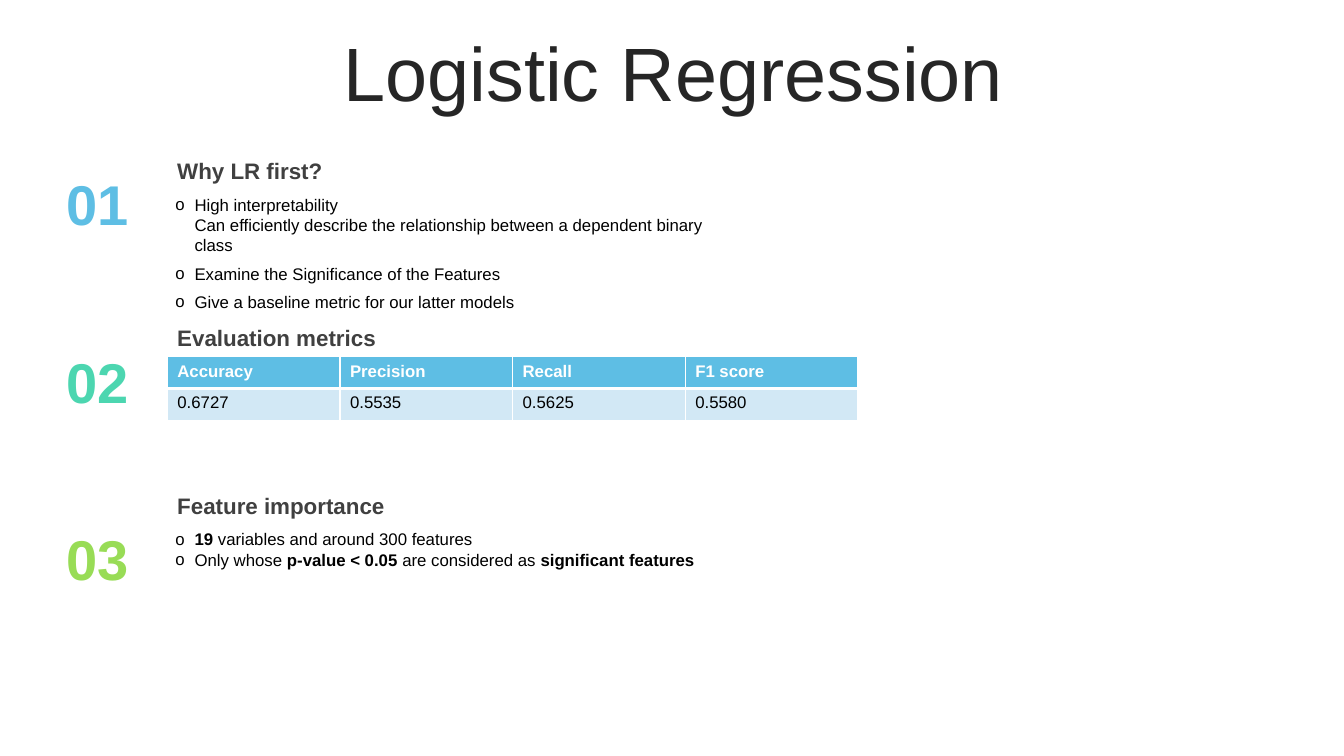
from dataclasses import dataclass

from lxml.etree import SubElement
from pptx import Presentation
from pptx.dml.color import RGBColor
from pptx.enum.text import MSO_ANCHOR, MSO_AUTO_SIZE, PP_ALIGN
from pptx.oxml.ns import qn
from pptx.util import Inches, Pt

FONT = "Arial"
BLUE, MINT, GREEN = "5EBEE4", "4CD6B0", "98DC56"
PALE, WHITE, BLACK = "D2E8F5", "FFFFFF", "000000"
INDENT = Inches(0.19)

# Shares of the slide's width and height, in percent
TEXT_X, LIST_X = 12.45, 12.3
HEAD_Y, HEAD_STEP = 20.13, 22.13
NUM_Y, NUM_STEP = 21.73, 23.53


@dataclass
class Box:
    x: float
    y: float
    w: float
    h: float


@dataclass
class Part:
    title: str
    color: str


@dataclass
class Item:
    text: str  # words between asterisks are bold
    before: int = 0
    bullet: bool = True


PARTS = [
    Part("Why LR first?", BLUE),
    Part("Evaluation metrics", MINT),
    Part("Feature importance", GREEN),
]
REASONS = [
    Item("High interpretability"),
    Item("Can efficiently describe the relationship between a dependent binary class",
         bullet=False),
    Item("Examine the Significance of the Features", before=6),
    Item("Give a baseline metric for our latter models", before=6),
]
FEATURES = [
    Item("*19* variables and around 300 features"),
    Item("Only whose *p-value < 0.05 *are considered as *significant features*"),
]
METRICS = [
    ("Accuracy", "0.6727"),
    ("Precision", "0.5535"),
    ("Recall", "0.5625"),
    ("F1 score", "0.5580"),
]

deck = Presentation()
deck.slide_width, deck.slide_height = Inches(13.333), Inches(7.5)


def paint(code: str) -> RGBColor:
    return RGBColor.from_string(code)


def place(box: Box) -> tuple[int, int, int, int]:
    wide, high = deck.slide_width / 100, deck.slide_height / 100
    return (round(box.x * wide), round(box.y * high),
            round(box.w * wide), round(box.h * high))


def move(shape, box: Box) -> None:
    shape.left, shape.top, shape.width, shape.height = place(box)


def write(para, text: str, *, size: int = 12, color: str = BLACK,
          bold: bool = False, align=PP_ALIGN.LEFT, before: int = 0,
          line: float = 1.0) -> None:
    para.alignment = align
    para.space_before = Pt(before)
    para.line_spacing = line
    for n, piece in enumerate(text.split("*")):
        if piece:
            run = para.add_run()
            run.text = piece
            run.font.name, run.font.size = FONT, Pt(size)
            run.font.bold = bold or n % 2 == 1
            run.font.color.rgb = paint(color)


def add_text(slide, box: Box, text: str, **style) -> None:
    frame = slide.shapes.add_textbox(*place(box)).text_frame
    frame.word_wrap = True
    write(frame.paragraphs[0], text, **style)


def fill_list(shape, box: Box, items: list[Item]) -> None:
    move(shape, box)
    frame = shape.text_frame
    frame.auto_size = MSO_AUTO_SIZE.NONE
    for n, item in enumerate(items):
        para = frame.add_paragraph() if n else frame.paragraphs[0]
        props = para._p.get_or_add_pPr()
        props.set("marL", str(INDENT))
        props.set("indent", str(-INDENT if item.bullet else 0))
        if item.bullet:
            SubElement(props, qn("a:buChar"), char="o")
        else:
            SubElement(props, qn("a:buNone"))
        write(para, item.text, before=item.before)


def edge(cell, bottom: int) -> None:
    for side in ("lnL", "lnR", "lnT", "lnB"):
        width = bottom if side == "lnB" else 1
        line = SubElement(cell._tc.get_or_add_tcPr(), qn("a:" + side),
                          w=str(Pt(width)))
        solid = SubElement(line, qn("a:solidFill"))
        SubElement(solid, qn("a:srgbClr"), val=WHITE)


def add_grid(slide, box: Box) -> None:
    grid = slide.shapes.add_table(2, len(METRICS), *place(box)).table
    for col, pair in enumerate(METRICS):
        for row, text in enumerate(pair):
            cell, head = grid.cell(row, col), row == 0
            edge(cell, 3 if head else 1)
            cell.fill.solid()
            cell.fill.fore_color.rgb = paint(BLUE if head else PALE)
            write(cell.text_frame.paragraphs[0], text, bold=head,
                  color=WHITE if head else BLACK)


def main() -> None:
    slide = deck.slides.add_slide(deck.slide_layouts[3])
    title, first, last = list(slide.placeholders)[:3]

    # Title
    move(title, Box(2.63, 4.93, 94.95, 10.53))
    title.text_frame.auto_size = MSO_AUTO_SIZE.NONE
    title.text_frame.vertical_anchor = MSO_ANCHOR.MIDDLE
    write(title.text_frame.paragraphs[0], "Logistic Regression", size=54,
          color="262626", align=PP_ALIGN.CENTER, line=0.9)

    # Numbers and headings
    for n, part in enumerate(PARTS):
        add_text(slide, Box(4.13, NUM_Y + n * NUM_STEP, 6.23, 10.27),
                 f"{n + 1:02}", size=40, color=part.color, bold=True,
                 align=PP_ALIGN.CENTER)
        add_text(slide, Box(TEXT_X, HEAD_Y + n * HEAD_STEP, 43.58, 4.93),
                 part.title, size=16, color="404040", bold=True)

    # Lists and table
    fill_list(first, Box(LIST_X, 25.07, 43.95, 14.4), REASONS)
    fill_list(last, Box(LIST_X, 69.33, 43.95, 6.67), FEATURES)
    add_grid(slide, Box(TEXT_X, 47.2, 51.38, 8.4))

    deck.save("out.pptx")


if __name__ == "__main__":
    main()
